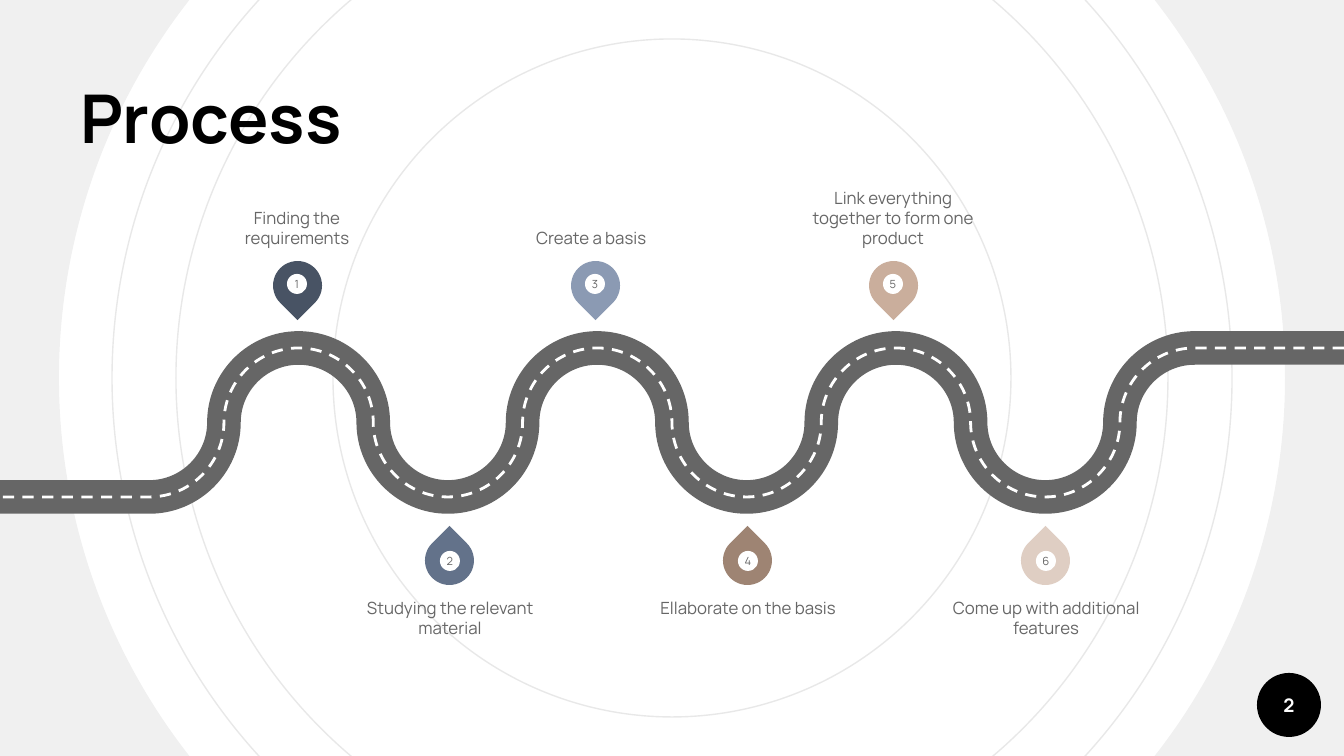
import math

import pptx
import pptx.dml.color
import pptx.enum.dml
import pptx.enum.shapes
import pptx.enum.text
import pptx.oxml
import pptx.oxml.ns
import pptx.util

SCALE = 914400 / 134.4
WIDTH, HEIGHT = 1344, 756
ROAD_TOP, ROAD_BOTTOM = 348, 497
FONT = "Manrope"
SHAPES = pptx.enum.shapes.MSO_SHAPE
ANCHOR = pptx.enum.text.MSO_ANCHOR
ALIGN = pptx.enum.text.PP_ALIGN
COLORS = {
    "black": "000000",
    "white": "FFFFFF",
    "ring": "E8E8E8",
    "gray": "666666",
}
STEPS = [
    ("Finding the requirements", "485364", 203),
    ("Studying the relevant material", "63728A", 356),
    ("Create a basis", "8B9AB3", 497),
    ("Ellaborate on the basis", "9E8473", 654),
    ("Link everything together to form one product", "CAAE9C", 799),
    ("Come up with additional features", "DFCEC3", 952),
]


def px(value):
    return pptx.util.Emu(round(value * SCALE))


def rgb(value):
    return pptx.dml.color.RGBColor.from_string(value)


def write(shape, text, size, color, bold=False, align=ALIGN.CENTER, anchor=ANCHOR.MIDDLE, inset=0):
    frame = shape.text_frame
    frame.text = text
    frame.word_wrap = True
    frame.auto_size = pptx.enum.text.MSO_AUTO_SIZE.NONE
    frame.vertical_anchor = anchor
    frame.margin_left = frame.margin_right = px(inset)
    frame.margin_top = frame.margin_bottom = px(inset)
    para = frame.paragraphs[0]
    para.alignment = align
    font = para.runs[0].font
    font.name = FONT
    font.size = pptx.util.Pt(size)
    font.bold = bold
    font.color.rgb = rgb(color)


def add_filled(shapes, kind, left, top, size, color):
    shape = shapes.add_shape(kind, px(left), px(top), px(size), px(size))
    shape.shadow.inherit = False
    shape.fill.solid()
    shape.fill.fore_color.rgb = rgb(color)
    shape.line.fill.background()
    return shape


def add_label(page, left, top, width, height, text, size, color, **style):
    box = page.shapes.add_textbox(px(left), px(top), px(width), px(height))
    write(box, text, size, color, **style)


def add_ring(page, diameter):
    left, top = (WIDTH - diameter) / 2, (HEIGHT - diameter) / 2
    ring = add_filled(page.shapes, SHAPES.OVAL, left, top, diameter, COLORS["white"])
    ring.fill.background()
    ring.line.color.rgb = rgb(COLORS["ring"])
    ring.line.width = pptx.util.Pt(0.75)


def add_backdrop(page):
    for diameter in (1120, 992, 678):
        add_ring(page, diameter)
    size = 1552
    donut = add_filled(page.shapes, SHAPES.DONUT, (WIDTH - size) / 2, (HEIGHT - size) / 2, size, COLORS["black"])
    donut.adjustments[0] = 0.105
    color = donut.element.spPr.find(".//" + pptx.oxml.ns.qn("a:srgbClr"))
    color.append(pptx.oxml.parse_xml(f'<a:alpha {pptx.oxml.ns.nsdecls("a")} val="6000"/>'))
    return add_filled(page.shapes, SHAPES.OVAL, 1257, 673, 64, COLORS["black"])


def road_node(index):
    middle, swing = (ROAD_TOP + ROAD_BOTTOM) / 2, (ROAD_BOTTOM - ROAD_TOP) / 2
    return WIDTH / 18 * index, middle - swing * math.cos(index * math.pi / 2)


def road_points():
    pull = 0.55
    points = [(WIDTH, ROAD_TOP), road_node(16)]
    for index in range(16, 2, -1):
        (x, y), (next_x, next_y) = road_node(index), road_node(index - 1)
        across, down = pull * (next_x - x), pull * (next_y - y)
        if index % 2 == 0:
            points += [(x + across, y), (next_x, next_y - down)]
        else:
            points += [(x, y + down), (next_x - across, next_y)]
        points.append((next_x, next_y))
    points.append((0, ROAD_BOTTOM))
    return [(px(x), px(y)) for x, y in points]


def bend_segments(road):
    name = pptx.oxml.ns.qn
    segments = road.element.spPr.findall(".//" + name("a:lnTo"))[1:-1]
    for first in range(0, len(segments), 3):
        curve = pptx.oxml.parse_xml(f'<a:cubicBezTo {pptx.oxml.ns.nsdecls("a")}/>')
        segments[first].addprevious(curve)
        for segment in segments[first:first + 3]:
            curve.append(segment.find(name("a:pt")))
            segment.getparent().remove(segment)


def add_road(page, color, width, dash=None):
    start, *rest = road_points()
    builder = page.shapes.build_freeform(*start)
    builder.add_line_segments(rest, close=False)
    road = builder.convert_to_shape()
    bend_segments(road)
    road.shadow.inherit = False
    road.fill.background()
    road.line.color.rgb = rgb(color)
    road.line.width = pptx.util.Pt(width)
    if dash:
        road.line.dash_style = dash


def add_step(page, index, text, color, label_left):
    above = index % 2 == 0
    left = (273 if above else 425) + 298 * (index // 2)
    top = 261 if above else 536
    group = page.shapes.add_group_shape()
    pin = add_filled(group.shapes, SHAPES.TEAR, left, top, 49, color)
    pin.rotation = 135 if above else 315
    inset_left, inset_top = (14, 13) if above else (15, 15)
    dot = add_filled(group.shapes, SHAPES.OVAL, left + inset_left, top + inset_top, 20, COLORS["white"])
    write(dot, str(index + 1), 6, COLORS["gray"])
    anchor = ANCHOR.BOTTOM if above else ANCHOR.TOP
    add_label(page, label_left, 170 if above else 598, 188, 78, text, 9, COLORS["gray"], anchor=anchor)


def place_title(title, badge):
    badge.element.addnext(title.element)
    title.left, title.top, title.width, title.height = px(67), px(69), px(767), px(101)
    write(title, "Process", 36, COLORS["black"], bold=True, align=ALIGN.LEFT, anchor=ANCHOR.BOTTOM, inset=13)


def main():
    deck = pptx.Presentation()
    deck.slide_width, deck.slide_height = px(WIDTH), px(HEIGHT)
    page = deck.slides.add_slide(deck.slide_layouts[5])
    badge = add_backdrop(page)
    place_title(page.shapes.title, badge)
    add_label(page, 1257, 673, 64, 64, "2", 10, COLORS["white"], bold=True, inset=13)
    add_road(page, COLORS["gray"], 18)
    add_road(page, COLORS["white"], 1.5, pptx.enum.dml.MSO_LINE.DASH)
    for index, (text, color, label_left) in enumerate(STEPS):
        add_step(page, index, text, color, label_left)
    deck.save("out.pptx")


if __name__ == "__main__":
    main()
